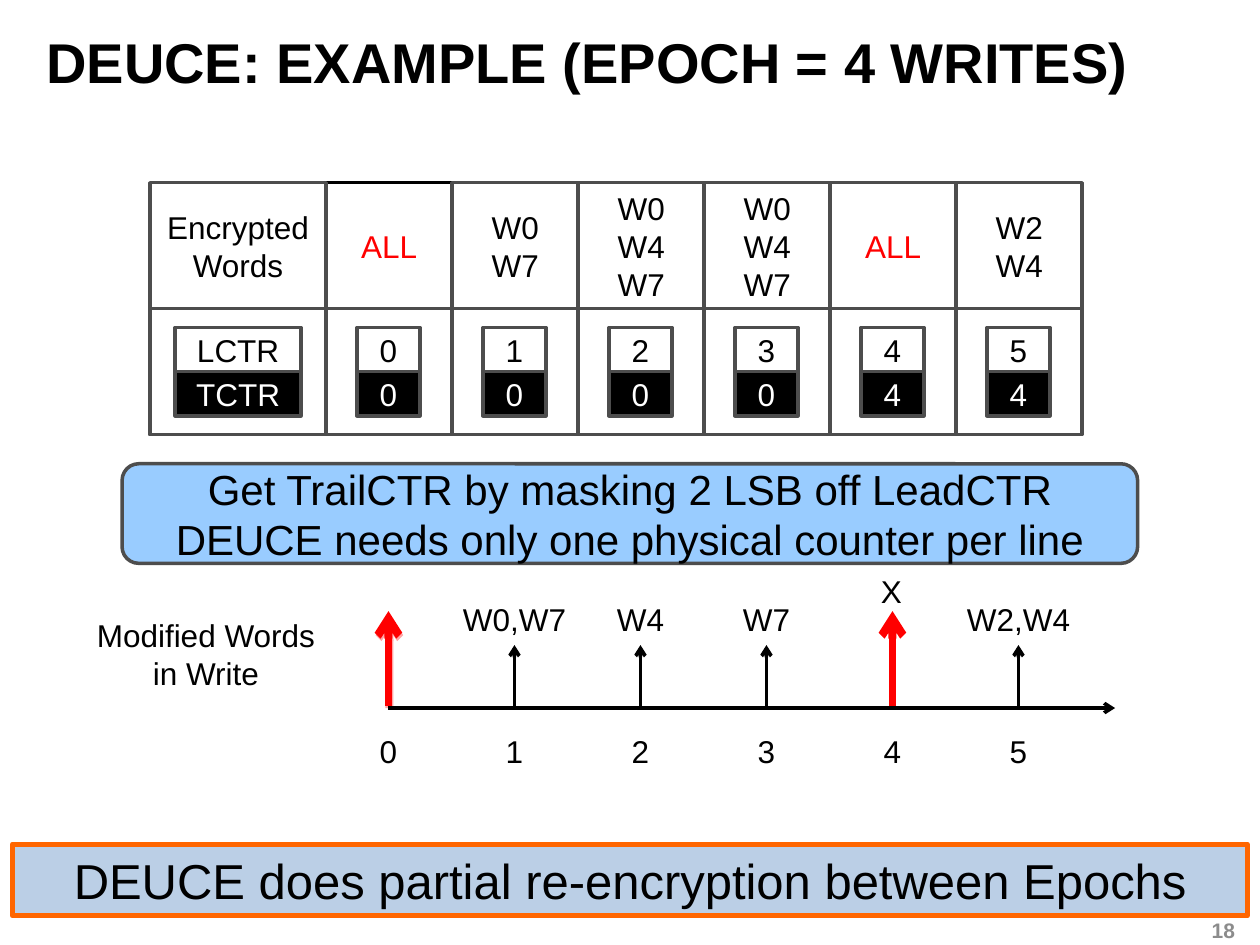
from lxml import etree
from pptx import Presentation
from pptx.dml.color import RGBColor
from pptx.enum.shapes import MSO_CONNECTOR as Connector, MSO_SHAPE as Shape
from pptx.enum.text import MSO_ANCHOR as Anchor, PP_ALIGN as Align
from pptx.oxml.ns import qn
from pptx.util import Pt

COLOURS = {
    "black": "000000", "white": "FFFFFF", "red": "FF0000", "border": "4D4D4D",
    "note": "99CCFF", "banner": "BBCFE6", "orange": "FF6600", "number": "8C8C8C",
}


def colour(name):
    return RGBColor.from_string(COLOURS[name])


class SlideBuilder:
    font = "Arial"
    size = 18

    def __init__(self, slide):
        self.slide = slide

    def set_text(self, shape, text, size=None, ink="black", bold=False,
                 align=Align.CENTER, anchor=Anchor.MIDDLE, wrap=True):
        frame = shape.text_frame
        frame.text = text
        frame.word_wrap = wrap
        frame.vertical_anchor = anchor
        for paragraph in frame.paragraphs:
            paragraph.alignment = align
            for run in paragraph.runs:
                run.font.name = self.font
                run.font.size = Pt(size or self.size)
                run.font.bold = bold
                run.font.color.rgb = colour(ink)

    def box(self, left, top, width, height, text="", fill="white", border="border",
            weight=2, kind=Shape.RECTANGLE, **style):
        shape = self.slide.shapes.add_shape(kind, Pt(left), Pt(top), Pt(width), Pt(height))
        shape.shadow.inherit = False
        shape.fill.solid()
        shape.fill.fore_color.rgb = colour(fill)
        shape.line.color.rgb = colour(border)
        shape.line.width = Pt(weight)
        if text:
            self.set_text(shape, text, **style)

    def text(self, left, top, width, height, text, **style):
        shape = self.slide.shapes.add_textbox(Pt(left), Pt(top), Pt(width), Pt(height))
        self.set_text(shape, text, **style)

    def label(self, centre, top, width, text):
        self.text(centre - width / 2, top, width, 29, text, anchor=Anchor.TOP, wrap=False)

    def arrow(self, x1, y1, x2, y2, ink="black", weight=2, opacity=None):
        line = self.slide.shapes.add_connector(
            Connector.STRAIGHT, Pt(x1), Pt(y1), Pt(x2), Pt(y2))
        line.line.color.rgb = colour(ink)
        line.line.width = Pt(weight)
        properties = line._element.spPr
        outline = properties.find(qn("a:ln"))
        if opacity:
            fill_colour = outline.find(".//" + qn("a:srgbClr"))
            etree.SubElement(fill_colour, qn("a:alpha"), val=str(opacity * 1000))
        etree.SubElement(outline, qn("a:tailEnd"), type="arrow")
        etree.SubElement(properties, qn("a:effectLst"))


def main():
    presentation = Presentation()
    presentation.slide_width, presentation.slide_height = Pt(720), Pt(540)
    builder = SlideBuilder(presentation.slides.add_slide(presentation.slide_layouts[6]))

    step, first_left, header_left, header_width = 72, 186.4, 85.6, 100.8
    words_top, counters_top, lead_top, counter_height = 104.4, 176.4, 187.2, 25.2
    axis = 404.6
    first_centre = first_left + step / 2 - 0.4
    encrypted = ["ALL", "W0\nW7", "W0\nW4\nW7", "W0\nW4\nW7", "ALL", "W2\nW4"]
    modified = {1: "W0,W7", 2: "W4", 3: "W7", 5: "W2,W4"}
    epoch = 4

    def centre(index):
        return first_centre + index * step

    def counter_pair(left, width, lead, trail):
        builder.box(left, lead_top, width, counter_height, lead)
        builder.box(left, lead_top + counter_height, width, counter_height, trail,
                    fill="black", ink="white")

    builder.arrow(222.5, axis, 222.5, 350.6, "red", 4.5, opacity=35)
    builder.text(19.4, 15.8, 660.2, 38.2, "DEUCE: EXAMPLE (EPOCH = 4 WRITES)",
                 size=32, bold=True, align=Align.LEFT)
    builder.arrow(first_centre, axis, 637.2, axis)
    for index in modified:
        builder.arrow(centre(index), axis, centre(index), 368.6)
    for index in range(0, len(encrypted), epoch):
        builder.arrow(centre(index), 403.2, centre(index), 349.2, "red", 4.5)

    for index, words in enumerate(encrypted):
        builder.box(first_left + index * step, words_top, step, step, words,
                    border="border" if index else "black",
                    ink="red" if words == "ALL" else "black")
    for index in range(len(encrypted)):
        builder.box(first_left + index * step, counters_top, step, step)
    builder.box(header_left, counters_top, header_width, step)
    builder.box(header_left, words_top, header_width, step, "Encrypted Words")

    counter_pair(100.1, 72, "LCTR", "TCTR")
    for index in range(len(encrypted)):
        counter_pair(centre(index) - 18, 36, str(index), str(index // epoch * epoch))

    for index, words in modified.items():
        builder.label(centre(index), 339.3, 74 if "," in words else 42, words)
    for index in range(len(encrypted)):
        builder.label(centre(index), 414.7, 24.5, str(index))
    builder.text(43.2, 348.5, 149, 51, "Modified Words in Write", anchor=Anchor.TOP)

    builder.box(69.8, 265, 580.3, 56.9,
                "Get TrailCTR by masking 2 LSB off LeadCTR\n"
                "DEUCE needs only one physical counter per line",
                fill="note", kind=Shape.ROUNDED_RECTANGLE, size=24)
    builder.label(centre(epoch) - 0.6, 323.3, 26.6, "X")
    builder.text(545, 523.4, 167.8, 16.6, "18", size=12, ink="number", bold=True,
                 align=Align.RIGHT)
    builder.box(7.2, 482.4, 705.6, 41, "DEUCE does partial re-encryption between Epochs",
                fill="banner", border="orange", weight=3, size=28, anchor=Anchor.TOP)

    presentation.save("out.pptx")


if __name__ == "__main__":
    main()
